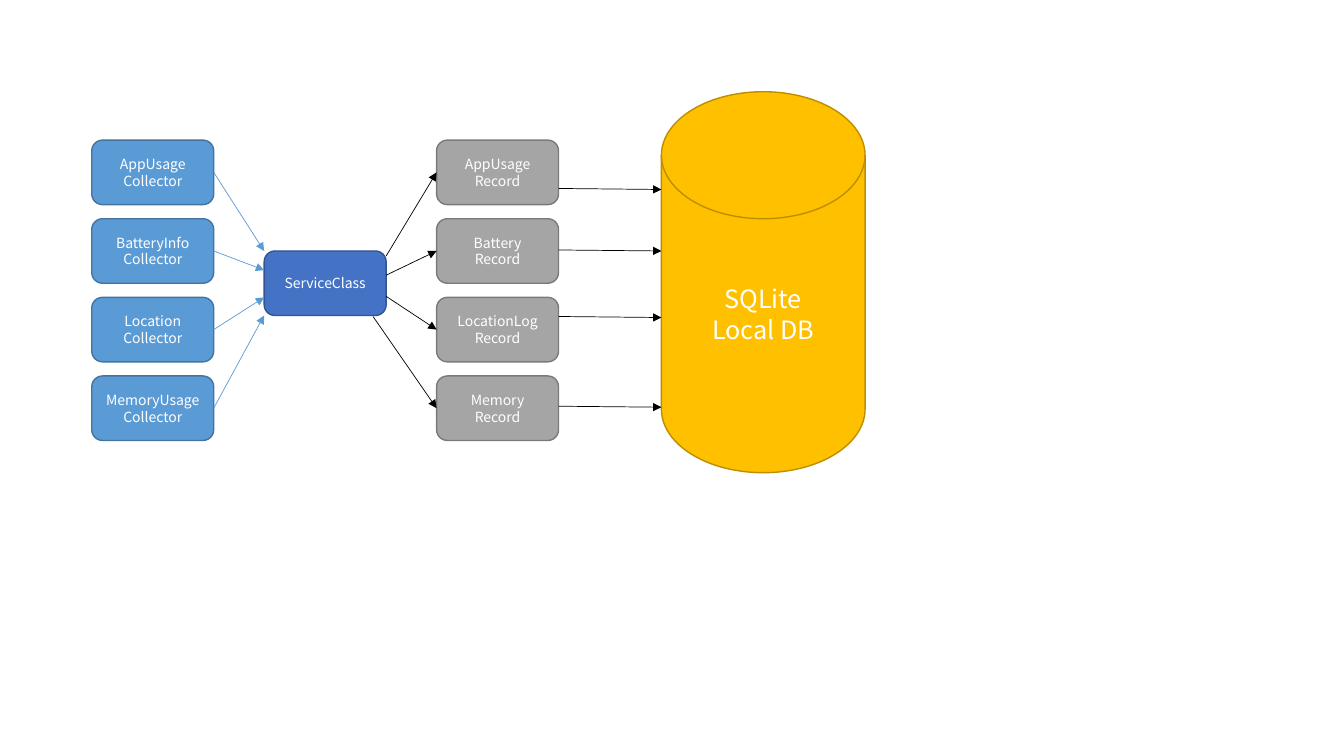
from lxml import etree
from pptx import Presentation
from pptx.dml.color import RGBColor
from pptx.enum.shapes import MSO_CONNECTOR, MSO_SHAPE
from pptx.enum.text import MSO_ANCHOR, PP_ALIGN
from pptx.oxml.ns import qn
from pptx.util import Inches, Pt

ROUNDED = MSO_SHAPE.FLOWCHART_ALTERNATE_PROCESS
DISK = MSO_SHAPE.FLOWCHART_MAGNETIC_DISK
STRAIGHT = MSO_CONNECTOR.STRAIGHT
MIDDLE = MSO_ANCHOR.MIDDLE
CENTER = PP_ALIGN.CENTER
LEFT_SIDE, RIGHT_SIDE = 1, 3

FONT = "Noto Sans CJK KR"
COLORS = {
    "collector": "5B9BD5", "collector_edge": "43739E",
    "service": "4472C4", "service_edge": "325491",
    "record": "A5A5A5", "record_edge": "7A7A7A",
    "database": "FFC000", "database_edge": "BD8E00",
    "text": "FFFFFF", "arrow": "000000",
}

BOX_WIDTH, BOX_HEIGHT = 1.21, 0.64
COLLECTOR_LEFT, SERVICE_LEFT, RECORD_LEFT = 0.91, 2.62, 4.33
SERVICE_TOP = 2.49
FIRST_TOP, ROW_STEP = 1.39, 0.78
DATABASE_LEFT = 6.56

COLLECTORS = ["AppUsage\nCollector", "BatteryInfo\nCollector",
              "Location\nCollector", "MemoryUsage\nCollector"]
RECORDS = ["AppUsage\nRecord", "Battery\nRecord",
           "LocationLog\nRecord", "Memory\nRecord"]
SERVICE_ENTRIES = [2.49, 2.68, 2.95, 3.13]
SERVICE_EXITS = [(3.83, 2.54), (3.83, 2.73), (3.83, 2.94), (3.7, 3.14)]
STORE_HEIGHTS = [1.87, 2.48, 3.14, 4.03]


class Diagram:
    def __init__(self, page):
        self.page = page

    def node(self, kind, text, left, top, width=BOX_WIDTH, height=BOX_HEIGHT,
             preset=ROUNDED, size=10):
        box = self.page.shapes.add_shape(
            preset, Inches(left), Inches(top), Inches(width), Inches(height))
        box.shadow.inherit = False
        box.fill.solid()
        box.fill.fore_color.rgb = RGBColor.from_string(COLORS[kind])
        box.line.color.rgb = RGBColor.from_string(COLORS[kind + "_edge"])
        box.line.width = Pt(1)
        frame = box.text_frame
        frame.text = text
        frame.word_wrap = True
        frame.vertical_anchor = MIDDLE
        for para in frame.paragraphs:
            para.alignment = CENTER
            for span in para.runs:
                span.font.name = FONT
                span.font.size = Pt(size)
                span.font.color.rgb = RGBColor.from_string(COLORS["text"])
        return box

    def arrow(self, start, end, color="arrow", source=None, target=None):
        arrow = self.page.shapes.add_connector(
            STRAIGHT, *(Inches(value) for value in (*start, *end)))
        arrow.line.color.rgb = RGBColor.from_string(COLORS[color])
        arrow.line.width = Pt(0.5)
        etree.SubElement(arrow.line._get_or_add_ln(), qn("a:tailEnd"), type="triangle")
        etree.SubElement(arrow._element.spPr, qn("a:effectLst"))
        if source is not None:
            arrow.begin_connect(source, RIGHT_SIDE)
        if target is not None:
            arrow.end_connect(target, LEFT_SIDE)


def main():
    deck = Presentation()
    deck.slide_width, deck.slide_height = Inches(13.33), Inches(7.5)
    diagram = Diagram(deck.slides.add_slide(deck.slide_layouts[6]))

    tops = [FIRST_TOP + row * ROW_STEP for row in range(len(COLLECTORS))]
    collectors = [diagram.node("collector", text, COLLECTOR_LEFT, top)
                  for text, top in zip(COLLECTORS, tops)]
    diagram.node("service", "ServiceClass", SERVICE_LEFT, SERVICE_TOP)
    records = [diagram.node("record", text, RECORD_LEFT, top)
               for text, top in zip(RECORDS, tops)]
    diagram.node("database", "SQLite\nLocal DB", DATABASE_LEFT, 0.91, 2.02, 3.78,
                 preset=DISK, size=18)

    middles = [top + BOX_HEIGHT / 2 for top in tops]
    for collector, middle, entry in zip(collectors, middles, SERVICE_ENTRIES):
        diagram.arrow((COLLECTOR_LEFT + BOX_WIDTH, middle), (SERVICE_LEFT, entry),
                      color="collector", source=collector)
    for record, middle, leave in zip(records, middles, SERVICE_EXITS):
        diagram.arrow(leave, (RECORD_LEFT, middle), target=record)
    for height in STORE_HEIGHTS:
        diagram.arrow((RECORD_LEFT + BOX_WIDTH, height), (DATABASE_LEFT, height + 0.01))

    deck.save("out.pptx")


if __name__ == "__main__":
    main()
